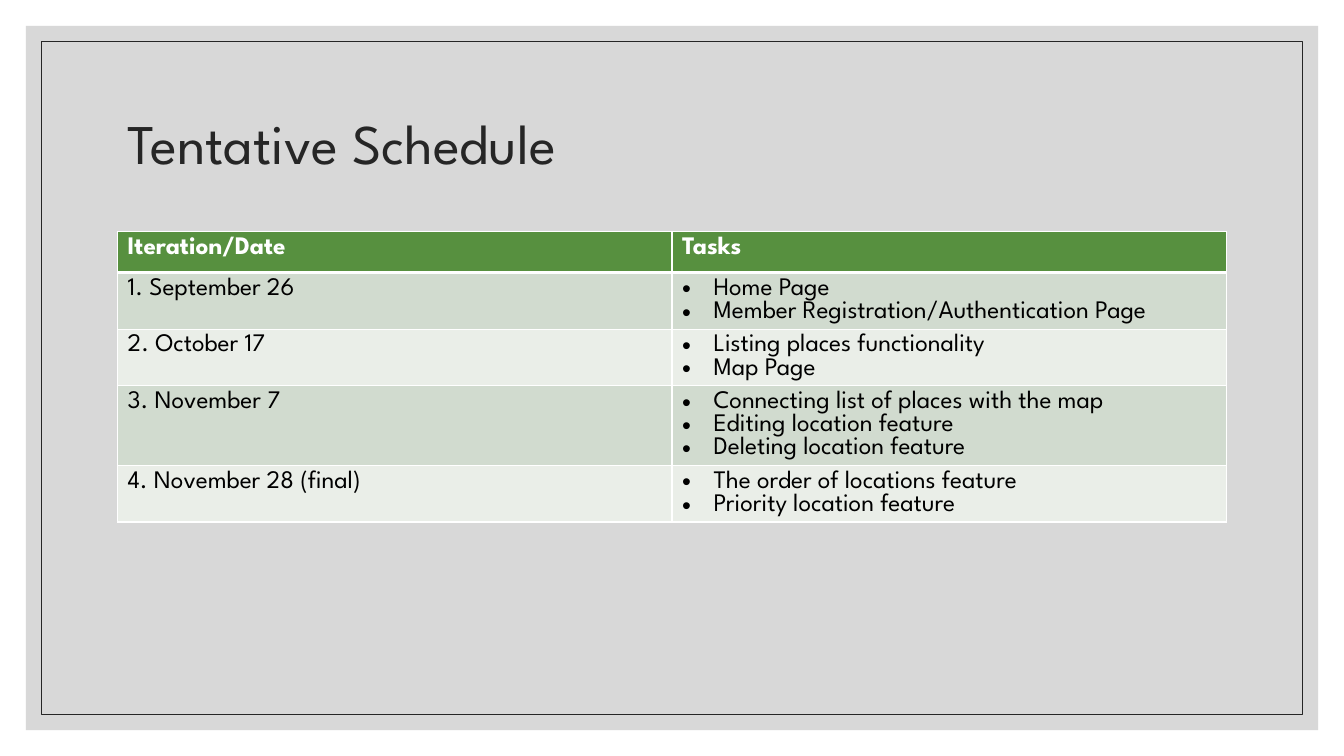
"""Build the tentative schedule slide."""
from lxml.etree import SubElement as Sub
from pptx import Presentation
from pptx.dml.color import RGBColor
from pptx.enum.shapes import MSO_SHAPE as Shape
from pptx.enum.text import MSO_ANCHOR as Anchor, PP_ALIGN as Align
from pptx.oxml.ns import qn
from pptx.util import Pt

FONT = "League Spartan"
WHITE = RGBColor(0xFF, 0xFF, 0xFF)
BLACK = RGBColor(0, 0, 0)
INK = RGBColor(0x26, 0x26, 0x26)
GREY = RGBColor(0xBF, 0xBF, 0xBF)
GREEN = RGBColor(0x57, 0x90, 0x3F)
BANDS = [RGBColor(0xD1, 0xDB, 0xCF), RGBColor(0xEA, 0xEE, 0xE8)]

PLAN = [
    ("Iteration/Date", ["Tasks"]),
    ("1. September 26", ["Home Page", "Member Registration/Authentication Page"]),
    ("2. October 17", ["Listing places functionality", "Map Page"]),
    ("3. November 7", ["Connecting list of places with the map",
                       "Editing location feature", "Deleting location feature"]),
    ("4. November 28 (final)", ["The order of locations feature",
                                "Priority location feature"]),
]


def write(frame, lines, size=18, color=BLACK, bold=False, space=None, dots=False):
    frame.text = "\n".join(lines)
    for para in frame.paragraphs:
        para.alignment = Align.LEFT
        para.line_spacing = space
        font = para.runs[0].font
        font.name, font.size, font.bold = FONT, Pt(size), bold
        font.color.rgb = color
        if dots:
            props = para._p.get_or_add_pPr()
            props.set("marL", str(Pt(22.5)))
            props.set("indent", str(-Pt(22.5)))
            Sub(props, qn("a:buFont"), typeface="Arial")
            Sub(props, qn("a:buChar"), char="•")


def edge(cell, side, width):
    line = Sub(cell._tc.get_or_add_tcPr(), qn(f"a:ln{side}"), w=str(Pt(width)))
    Sub(Sub(line, qn("a:solidFill")), qn("a:srgbClr"), val=str(WHITE))


deck = Presentation()
deck.slide_width, deck.slide_height = Pt(960), Pt(540)
slide = deck.slides.add_slide(deck.slide_layouts[5])
shapes = slide.shapes
slide.background.fill.solid()
slide.background.fill.fore_color.rgb = WHITE

panel = shapes.add_shape(Shape.RECTANGLE, Pt(18.5), Pt(18.5), Pt(923), Pt(503))
panel.shadow.inherit = False
panel.fill.solid()
panel.fill.fore_color.rgb = GREY
shade = panel.fill._xPr.find(qn("a:solidFill")).find(qn("a:srgbClr"))
Sub(shade, qn("a:alpha"), val="60000")
panel.line.fill.background()

frame = shapes.add_shape(Shape.RECTANGLE, Pt(29.5), Pt(29.5), Pt(901), Pt(481))
frame.shadow.inherit = False
frame.fill.background()
frame.line.color.rgb = INK
frame.line.width = Pt(0.5)

title = shapes.title
shapes.element.append(title.element)
title.left, title.top, title.width, title.height = Pt(84), Pt(50.5), Pt(792), Pt(108)
title.text_frame.vertical_anchor = Anchor.MIDDLE
write(title.text_frame, ["Tentative Schedule"], size=40, color=INK, space=0.9)

table = shapes.add_table(len(PLAN), 2, Pt(84), Pt(165.5), Pt(792), Pt(146)).table
for row in table.rows:
    row.height = Pt(29.2)
for r, (date, tasks) in enumerate(PLAN):
    head = r == 0
    for c, lines in enumerate([[date], tasks]):
        cell = table.cell(r, c)
        for side in "LRTB":
            thick = (head and side == "B") or (r == 1 and side == "T")
            edge(cell, side, 3 if thick else 1)
        cell.fill.solid()
        cell.fill.fore_color.rgb = GREEN if head else BANDS[(r - 1) % 2]
        write(cell.text_frame, lines, color=WHITE if head else BLACK,
              bold=head, dots=c == 1 and not head)

deck.save("out.pptx")
